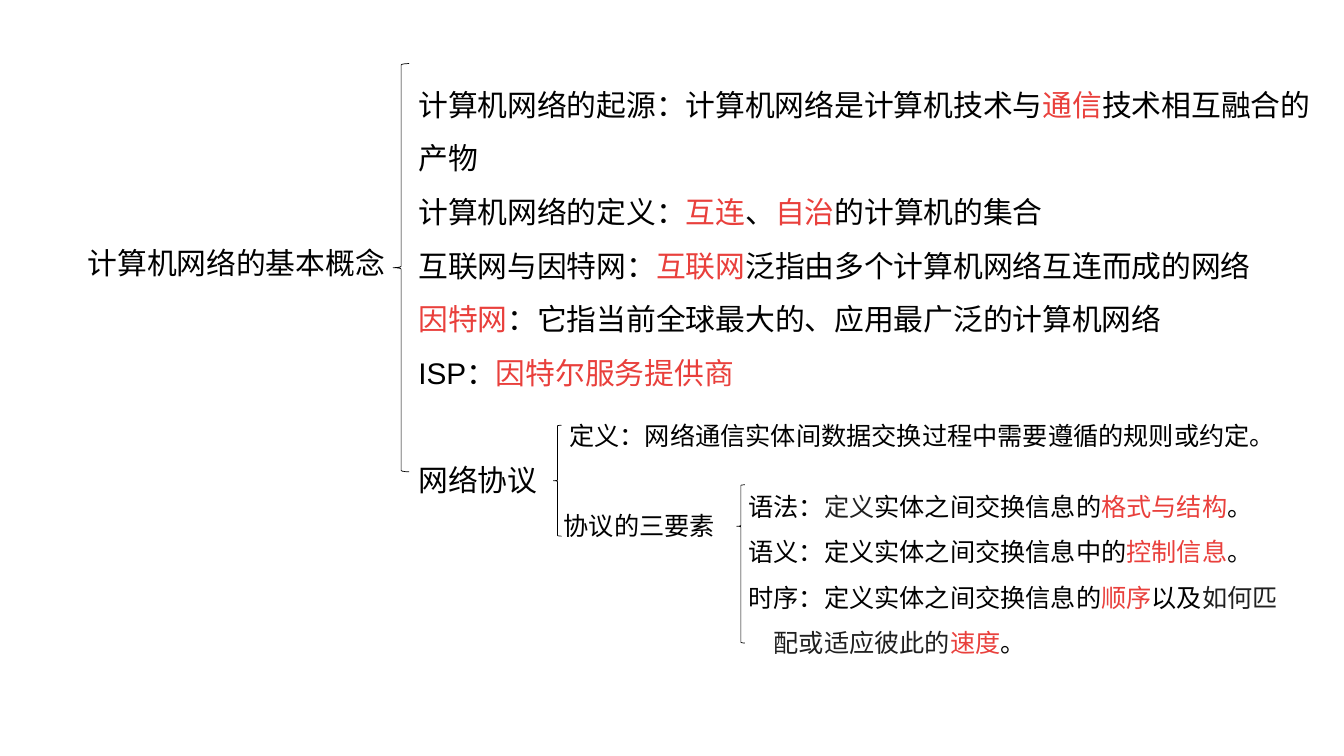
"""Build a slide that outlines the basic concepts of computer networks."""
from lxml.etree import SubElement
from pptx import Presentation
from pptx.dml.color import RGBColor
from pptx.enum.lang import MSO_LANGUAGE_ID
from pptx.enum.shapes import MSO_SHAPE
from pptx.enum.text import MSO_ANCHOR, MSO_AUTO_SIZE, PP_ALIGN
from pptx.oxml.ns import qn
from pptx.util import Pt

THEME = {
    "ink": RGBColor(0x00, 0x00, 0x00),
    "red": RGBColor(0xE9, 0x40, 0x3C),
    "gray": RGBColor(0x20, 0x20, 0x20),
    "font": "Arial",
    "alt": "Noto Sans CJK SC",
    "big": 21.3,
    "small": 18,
    "line": 0.5,
}

TITLE = [{"runs": [("计算机网络的基本概念", "ink")]}]
TOPICS = [
    {"runs": [("计算机网络的起源：计算机网络是计算机技术与", "ink"), ("通信", "red"),
              ("技术相互融合的产物", "ink")]},
    {"runs": [("计算机网络的定义：", "ink"), ("互连", "red"), ("、", "ink"),
              ("自治", "red"), ("的计算机的集合", "ink")]},
    {"runs": [("互联网与因特网：", "ink"), ("互联网", "red"),
              ("泛指由多个计算机网络互连而成的网络", "ink")]},
    {"runs": [("因特网", "red"), ("：它指当前全球最大的、应用最广泛的计算机网络", "ink")]},
    {"runs": [("ISP：", "ink"), ("因特尔服务提供商", "red")]},
    {"runs": [("网络协议", "ink")], "gap": 38},
]
RULES = [
    {"runs": [("定义：网络通信实体间数据交换过程中需要遵循的规则或约定。", "ink")], "inset": 4},
    {"runs": [("协议的三要素", "ink")], "gap": 43},
]
PARTS = [
    {"runs": [("语法：", "ink"), ("定义", "gray", "alt"), ("实体之间交换信息的", "ink"),
              ("格式与结构", "red"), ("。", "ink")]},
    {"runs": [("语义：定义实体之间交换信息中的", "ink"), ("控制信息", "red"), ("。", "ink")]},
    {"runs": [("时序：定义实体之间交换信息的", "ink"), ("顺序", "red"), ("以及", "ink"),
              ("如何匹", "gray")]},
    {"runs": [("配或适应彼此的", "gray"), ("速度", "red"), ("。", "ink")], "inset": 18},
]
BRACES = [
    ((280.8, 45.4, 11.5, 291.6), 0.5),
    ((395.3, 303.8, 5.8, 79.2), 0.5),
    ((526.3, 346.3, 5.8, 113), 0.262),
]


def add_run(para, size, text, tone, face="font"):
    run = para.add_run()
    run.text = text
    font = run.font
    font.name, font.size = THEME[face], Pt(size)
    font.color.rgb = THEME[tone]
    font.language_id = MSO_LANGUAGE_ID.SIMPLIFIED_CHINESE
    east = SubElement(font._element, qn("a:ea"))
    east.set("typeface", THEME["font"])


def fill(shape, box, items, size, pitch=1.0, anchor=MSO_ANCHOR.TOP):
    shape.left, shape.top, shape.width, shape.height = map(Pt, box)
    frame = shape.text_frame
    frame.word_wrap = True
    frame.auto_size = MSO_AUTO_SIZE.NONE
    frame.vertical_anchor = anchor
    for i, item in enumerate(items):
        para = frame.add_paragraph() if i else frame.paragraphs[0]
        props = para._p.get_or_add_pPr()
        props.set("marL", str(Pt(item.get("inset", 0))))
        props.set("indent", "0")
        SubElement(props, qn("a:buNone"))
        para.alignment = PP_ALIGN.LEFT
        para.line_spacing = pitch
        para.space_before = Pt(item.get("gap", 0))
        para.space_after = Pt(0)
        for run in item["runs"]:
            add_run(para, size, *run)


def add_brace(slide, box, mid):
    brace = slide.shapes.add_shape(MSO_SHAPE.LEFT_BRACE, *map(Pt, box))
    brace.adjustments[0], brace.adjustments[1] = 0.083, mid
    brace.shadow.inherit = False
    brace.fill.background()
    brace.line.color.rgb = THEME["ink"]
    brace.line.width = Pt(THEME["line"])


def add_text(slide, box, *rest):
    fill(slide.shapes.add_textbox(*map(Pt, box)), box, *rest)


def main():
    deck = Presentation()
    deck.slide_width, deck.slide_height = Pt(960), Pt(540)
    slide = deck.slides.add_slide(deck.slide_layouts[1])
    title, body = slide.placeholders
    fill(body, (291.6, 45.4, 658, 380.9), TOPICS, THEME["big"], 1.5)
    fill(title, (55.4, 171, 230, 33), TITLE, THEME["big"], 1.0, MSO_ANCHOR.MIDDLE)
    add_text(slide, (395.6, 296.6, 554, 94.3), RULES, THEME["small"])
    add_text(slide, (527.6, 336.6, 422, 170.6), PARTS, THEME["small"], 1.5)
    for box, mid in BRACES:
        add_brace(slide, box, mid)
    deck.save("out.pptx")


if __name__ == "__main__":
    main()
